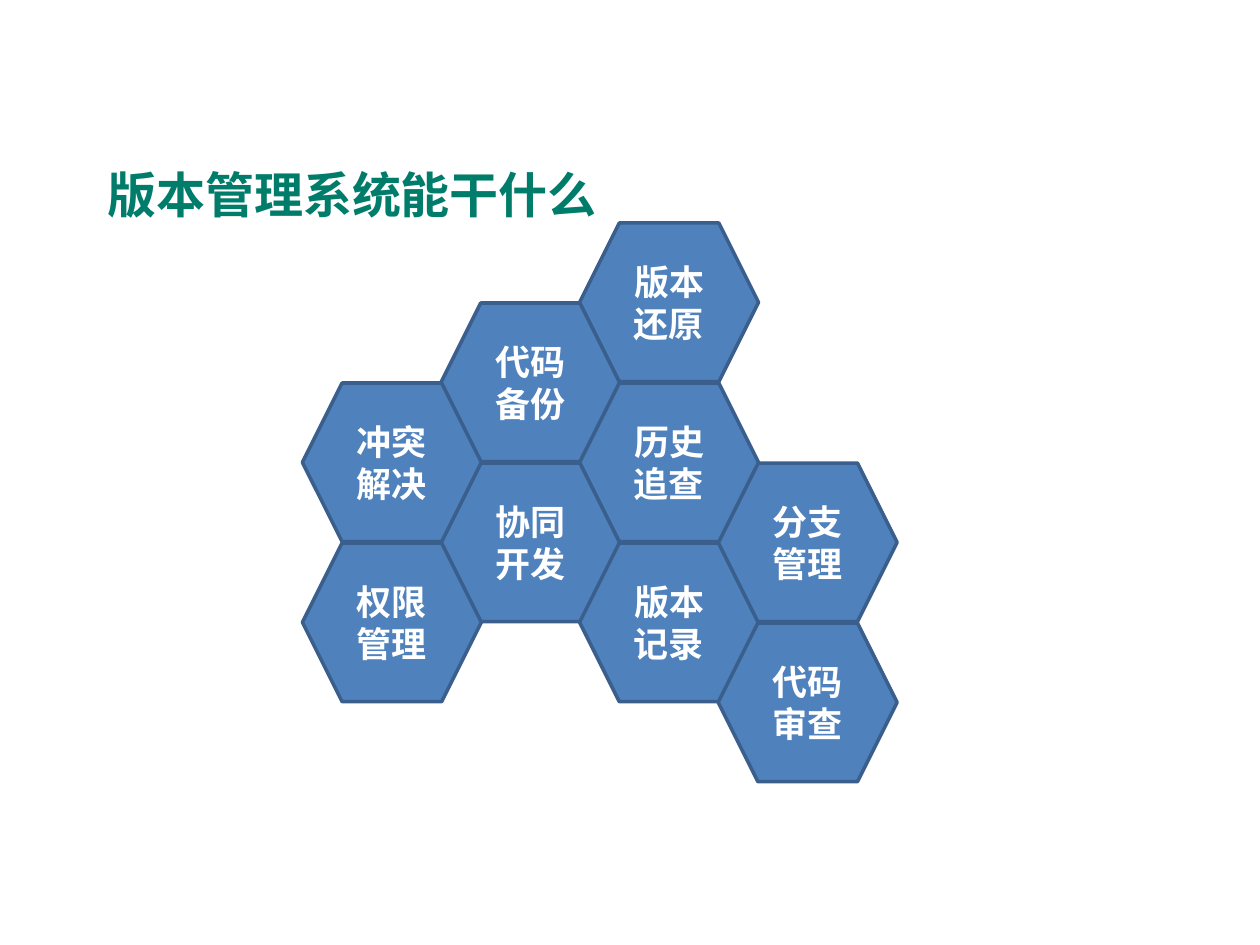
from pptx import Presentation
from pptx import util as u
from pptx.dml.color import RGBColor
from pptx.enum import shapes, text
from pptx.oxml.ns import qn

LEFT, TOP = 2.4, 1.77      # corner of the honeycomb
STEP, HALF = 1.1, 0.635    # column step and half a cell's height
CELL = (1.42, 1.26)

# label, column, row (in half cells)
CELLS = [
    ("代码\n备份", 1, 1),
    ("协同开发", 1, 3),
    ("冲突解决", 0, 2),
    ("版本记录", 2, 4),
    ("分支管理", 3, 3),
    ("权限管理", 0, 4),
    ("代码审查", 3, 5),
    ("历史追查", 2, 2),
    ("版本还原", 2, 0),
]


def tint(code):
    return RGBColor.from_string(code)


class Deck:
    fill, edge, white, green = "4F81BD", "3A5F8C", "FFFFFF", "007C6A"
    frame = {"word_wrap": True, "vertical_anchor": text.MSO_ANCHOR.MIDDLE}
    head = {"name": "Noto Sans CJK SC", "size": u.Pt(28), "bold": True}
    body = {"name": "Calibri", "size": u.Pt(20), "bold": True}

    def __init__(self):
        self.prs = Presentation()
        self.prs.slide_width, self.prs.slide_height = u.Inches(10), u.Inches(7.5)
        self.slide = self.prs.slides.add_slide(self.prs.slide_layouts[5])

    def label(self, shape, words, font, color):
        frame = shape.text_frame
        frame.text = words
        for key, value in self.frame.items():
            setattr(frame, key, value)
        for para in frame.paragraphs:
            para.alignment = text.PP_ALIGN.CENTER
            for run in para.runs:
                for key, value in font.items():
                    setattr(run.font, key, value)
                run.font.color.rgb = tint(color)
        return frame

    def title(self, words, left, top, width, height):
        """Place the title by shares of the slide's size."""
        shape = self.slide.shapes.title
        wide, high = self.prs.slide_width, self.prs.slide_height
        shape.left, shape.top = int(left * wide), int(top * high)
        shape.width, shape.height = int(width * wide), int(height * high)
        frame = self.label(shape, words, self.head, self.green)
        frame.auto_size = text.MSO_AUTO_SIZE.NONE
        for side, gap in {"left": 0.04, "right": 0.04, "top": 0.02, "bottom": 0.02}.items():
            setattr(frame, "margin_" + side, u.Inches(gap))
        for run in frame.paragraphs[0].runs:
            props = run._r.get_or_add_rPr()
            east = props.makeelement(qn("a:ea"), {"typeface": self.head["name"]})
            props.find(qn("a:latin")).addnext(east)

    def cell(self, words, col, row):
        box = (LEFT + col * STEP, TOP + row * HALF, *CELL)
        shape = self.slide.shapes.add_shape(
            shapes.MSO_SHAPE.HEXAGON, *map(u.Inches, box))
        shape.shadow.inherit = False
        shape.fill.solid()
        shape.fill.fore_color.rgb = tint(self.fill)
        shape.line.color.rgb = tint(self.edge)
        shape.line.width = u.Pt(2)
        self.label(shape, words, self.body, self.white)


def main():
    deck = Deck()
    deck.title(" 版本管理系统能干什么", 0.03, 0.17, 0.49, 0.07)
    for words, col, row in CELLS:
        deck.cell(words, col, row)
    deck.prs.save("out.pptx")


if __name__ == "__main__":
    main()
